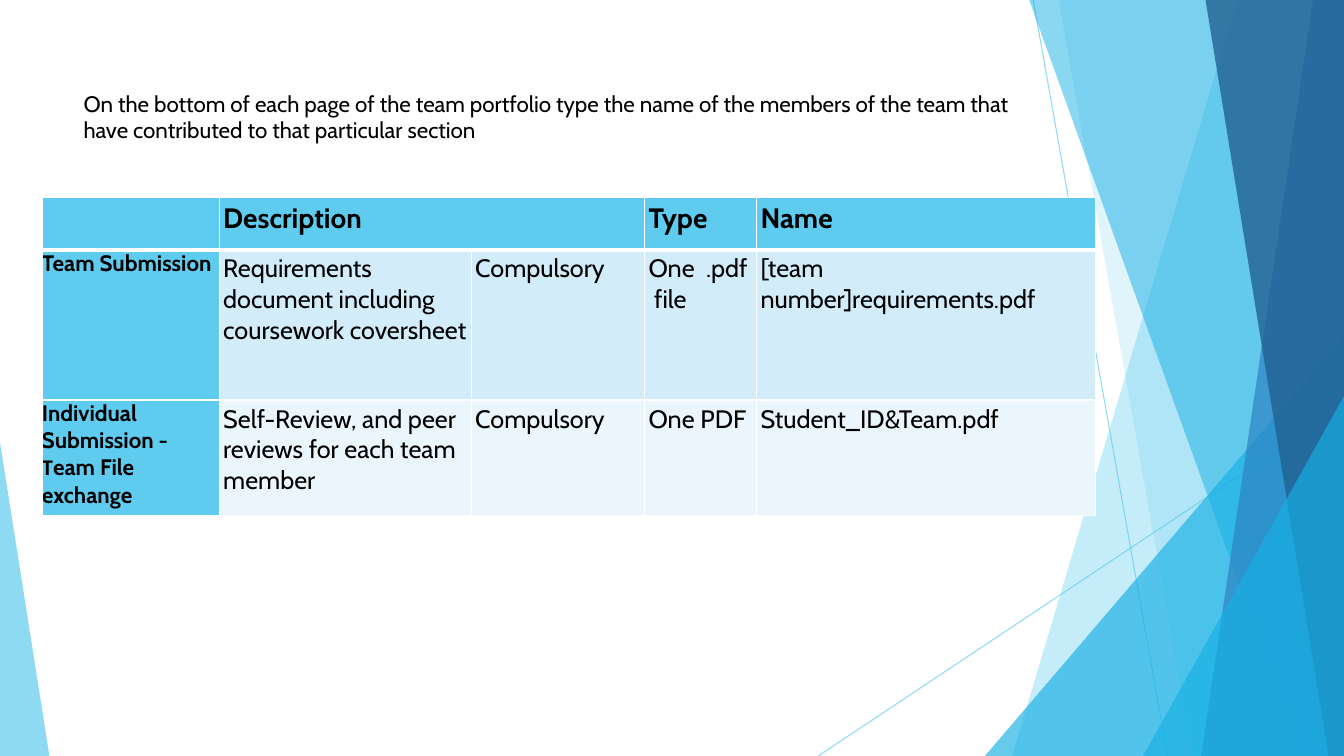
from lxml import etree
from pptx import Presentation
from pptx.dml.color import RGBColor
from pptx.enum.shapes import MSO_CONNECTOR, MSO_SHAPE
from pptx.enum.text import MSO_ANCHOR
from pptx.oxml.ns import qn
from pptx.util import Pt

STRAIGHT = MSO_CONNECTOR.STRAIGHT
TRIANGLE = MSO_SHAPE.ISOSCELES_TRIANGLE
TOP = MSO_ANCHOR.TOP

COLORS = {
    "sky": "5FCBEF", "cyan": "17B0E4", "blue": "2E83C3", "navy": "226292",
    "pale": "D2ECF9", "mist": "EAF6FC", "white": "FFFFFF", "black": "000000",
}
W, H, BLEED = 960, 540, -0.6


class Deck:
    font = "Cabin"

    def __init__(self):
        self.prs = Presentation()
        self.prs.slide_width, self.prs.slide_height = Pt(W), Pt(H)
        self.s = self.prs.slides.add_slide(self.prs.slide_layouts[6])

    def rgb(self, name):
        return RGBColor.from_string(COLORS[name])

    def fade(self, fill, percent):
        color = fill._xPr.find(qn("a:solidFill"))[0]
        etree.SubElement(color, qn("a:alpha"), val=str(percent * 1000))

    def line(self, x1, y1, x2, y2, color, alpha):
        c = self.s.shapes.add_connector(STRAIGHT, Pt(x1), Pt(y1), Pt(x2), Pt(y2))
        c.line.width = Pt(0.75)
        c.line.color.rgb = self.rgb(color)
        self.fade(c.line.fill, alpha)
        etree.SubElement(c._element.spPr, qn("a:effectLst"))

    def paint(self, sp, color, alpha):
        sp.shadow.inherit = False
        sp.fill.solid()
        sp.fill.fore_color.rgb = self.rgb(color)
        self.fade(sp.fill, alpha)
        sp.line.fill.background()

    def band(self, top_x, bottom_x, color, alpha):
        builder = self.s.shapes.build_freeform(Pt(top_x), Pt(BLEED), scale=1.0)
        corners = [(W, BLEED), (W, H), (bottom_x, H)]
        builder.add_line_segments([(Pt(x), Pt(y)) for x, y in corners], close=True)
        self.paint(builder.convert_to_shape(), color, alpha)

    def triangle(self, x, y, w, apex, color, alpha):
        sp = self.s.shapes.add_shape(TRIANGLE, Pt(x), Pt(y), Pt(w), Pt(H - y))
        sp.adjustments[0] = apex
        self.paint(sp, color, alpha)

    def run(self, p, text, size, bold=False, font=None):
        r = p.add_run()
        r.text = text
        r.font.size = Pt(size)
        r.font.bold = bold
        r.font.name = font or self.font
        r.font.color.rgb = self.rgb("black")

    def text(self, x, y, w, h, text, size):
        sp = self.s.shapes.add_textbox(Pt(x), Pt(y), Pt(w), Pt(h))
        tf = sp.text_frame
        tf.word_wrap = True
        tf.vertical_anchor = TOP
        self.run(tf.paragraphs[0], text, size)

    def borders(self, cell, bottom):
        tcPr = cell._tc.get_or_add_tcPr()
        for i, (side, width) in enumerate(zip("LRTB", (1, 1, 1, bottom))):
            ln = etree.Element(qn("a:ln" + side), w=str(Pt(width)))
            fill = etree.SubElement(ln, qn("a:solidFill"))
            etree.SubElement(fill, qn("a:srgbClr"), val=COLORS["white"])
            tcPr.insert(i, ln)

    def cell(self, cell, paragraphs, size, bold, fill, inset, bottom):
        cell.margin_left = cell.margin_right = Pt(inset)
        cell.margin_top = cell.margin_bottom = Pt(inset)
        cell.vertical_anchor = TOP
        cell.fill.solid()
        cell.fill.fore_color.rgb = self.rgb(fill)
        self.borders(cell, bottom)
        tf = cell.text_frame
        for i, runs in enumerate(paragraphs):
            p = tf.add_paragraph() if i else tf.paragraphs[0]
            for text, font in runs:
                self.run(p, text, size, bold, font)

    def table(self, x, y, widths, heights, rows, row_fills):
        frame = self.s.shapes.add_table(len(rows), len(widths), Pt(x), Pt(y),
                                        Pt(sum(widths)), Pt(sum(heights)))
        table = frame.table
        for column, width in zip(table.columns, widths):
            column.width = Pt(width)
        for i, row in enumerate(rows):
            table.rows[i].height = Pt(heights[i])
            for j, content in enumerate(row):
                if isinstance(content, str):
                    content = [[(content, None)]] if content else []
                header, label = i == 0, j == 0
                size = 20 if header else 16 if label else 18
                self.cell(table.cell(i, j), content, size, header or label,
                          "sky" if label else row_fills[i],
                          0 if label else 2.8, 3 if header else 1)
        table.cell(0, 1).merge(table.cell(0, 2))


def main():
    deck = Deck()
    deck.line(738, 0, 834, H, "sky", 70)
    deck.line(W, 290, 584.5, H, "sky", 70)
    deck.band(884, 723, "sky", 36)
    deck.band(756, 852, "sky", 20)
    deck.triangle(703.5, 240, 256.5, 1, "cyan", 66)
    deck.band(735, 929.5, "cyan", 50)
    deck.band(938, 858, "blue", 70)
    deck.band(861, 949, "navy", 80)
    deck.triangle(816.5, 283, 143.5, 1, "cyan", 66)
    deck.triangle(0, 316, 35.3, 0, "sky", 70)
    deck.text(52.6, 60.5, 677, 60,
              "On the bottom of each page of the team portfolio type the name of "
              "the members of the team that have contributed to that particular section", 16)

    individual = [
        [("Individual", None)],
        [("Submission -", None)],
        [("T", "Calibri"), ("eam File exchange", None)],
    ]
    rows = [
        ["", "Description", "", "Type", "Name"],
        ["Team Submission", "Requirements document including coursework coversheet",
         "Compulsory", "One  .pdf  file", "[team number]requirements.pdf"],
        [individual, "Self-Review, and peer reviews for each team member",
         "Compulsory", "One PDF", "Student_ID&Team.pdf"],
    ]
    deck.table(30, 141, [126.7, 180, 123.8, 80, 242], [37.4, 107.3, 82.8],
               rows, ["sky", "pale", "mist"])
    deck.prs.save("out.pptx")


if __name__ == "__main__":
    main()
